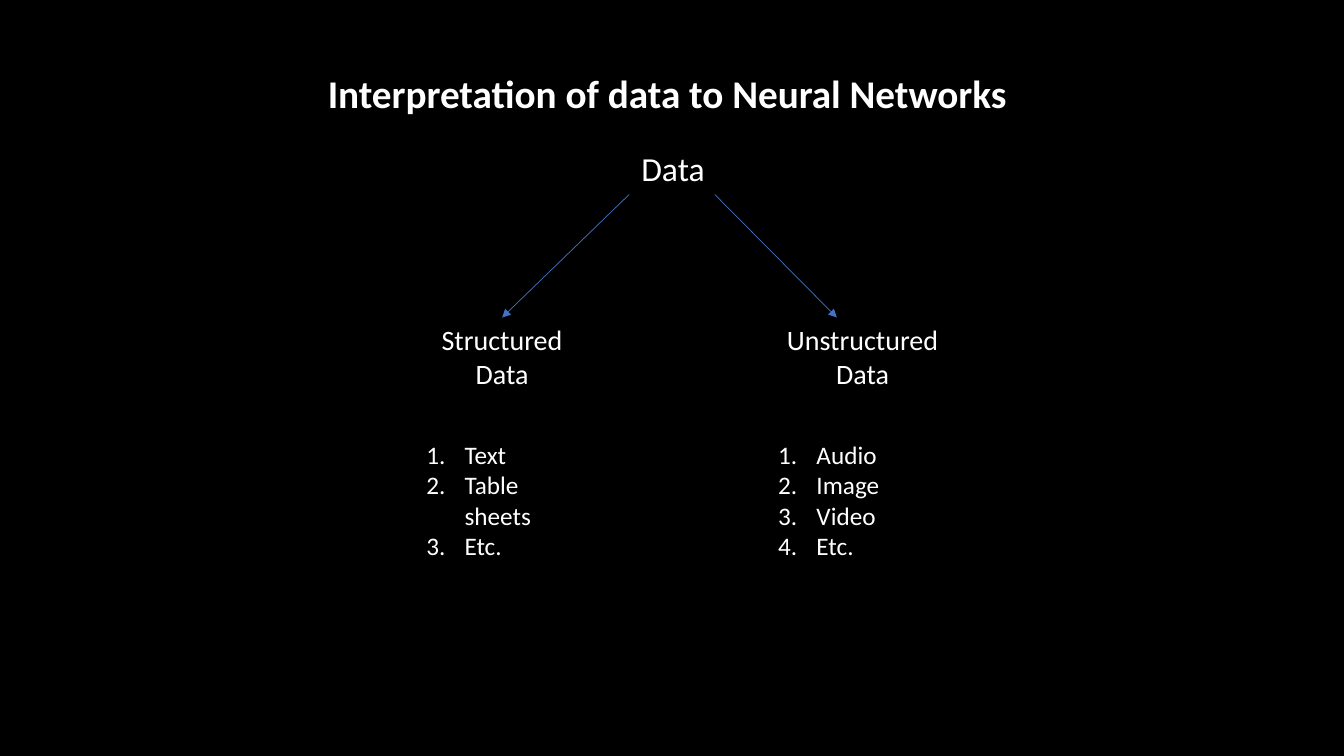
from dataclasses import dataclass

import pptx
import pptx.dml.color
import pptx.enum.shapes
import pptx.enum.text
import pptx.oxml
import pptx.oxml.ns
import pptx.util

Inches = pptx.util.Inches
Pt = pptx.util.Pt
RGB = pptx.dml.color.RGBColor.from_string
ALIGN = pptx.enum.text.PP_ALIGN


@dataclass(frozen=True)
class Theme:
    font: str = "Calibri"
    background: str = "000000"
    text: str = "FFFFFF"
    arrow: str = "4472C4"
    title_size: int = 28
    root_size: int = 24
    branch_size: int = 20
    example_size: int = 18
    arrow_width: float = 0.5


THEME = Theme()
NUMBER_INDENT = 0.38
BRANCH_TOP = 3.15
EXAMPLES_DROP = 1.16  # from the top of a branch label to its list
ROOT_BOX = (5.89, 1.42, 1.57, 0.5)
ARROW_TOP = 1.93

BRANCHES = [
    {"label": "Structured Data", "left": 4.13, "width": 1.7, "list_width": 1.7,
     "examples": ["Text", "Table sheets", "Etc."],
     "arrow_start": 6.24, "arrow_end": 4.98},
    {"label": "Unstructured Data", "left": 7.62, "width": 1.87, "list_width": 1.47,
     "examples": ["Audio", "Image", "Video", "Etc."],
     "arrow_start": 7.09, "arrow_end": 8.3},
]


def number_paragraph(paragraph):
    """Give the paragraph an automatic number with a hanging indent."""
    properties = paragraph._p.get_or_add_pPr()
    indent = Inches(NUMBER_INDENT)
    for name, value in {"marL": indent, "indent": -indent}.items():
        properties.set(name, str(int(value)))
    number = pptx.oxml.parse_xml(
        f'<a:buAutoNum {pptx.oxml.ns.nsdecls("a")} type="arabicPeriod"/>')
    properties.append(number)


def add_text(slide, box, lines, size, bold=False, numbered=False):
    label = slide.shapes.add_textbox(*map(Inches, box))
    frame = label.text_frame
    frame.word_wrap = True
    frame.auto_size = pptx.enum.text.MSO_AUTO_SIZE.SHAPE_TO_FIT_TEXT
    frame.text = "\n".join(lines)
    font_format = {"name": THEME.font, "size": Pt(size), "bold": bold}
    for paragraph in frame.paragraphs:
        if numbered:
            number_paragraph(paragraph)
        else:
            paragraph.alignment = ALIGN.CENTER
        font = paragraph.runs[0].font
        for attribute, value in font_format.items():
            setattr(font, attribute, value)
        font.color.rgb = RGB(THEME.text)
    return label


def add_arrow(slide, start, end):
    arrow = slide.shapes.add_connector(
        pptx.enum.shapes.MSO_CONNECTOR.STRAIGHT, *map(Inches, (*start, *end)))
    arrow.line.color.rgb = RGB(THEME.arrow)
    arrow.line.width = Pt(THEME.arrow_width)
    namespace = pptx.oxml.ns.nsdecls("a")
    arrow.line._get_or_add_ln().append(
        pptx.oxml.parse_xml(f'<a:tailEnd {namespace} type="triangle"/>'))
    arrow._element.spPr.append(pptx.oxml.parse_xml(f"<a:effectLst {namespace}/>"))
    return arrow


def add_branch(slide, left, top, branch):
    """Place a kind of data, its examples and the arrow leading to it."""
    label = add_text(slide, (left, top, branch["width"], 0.77),
                     [branch["label"]], THEME.branch_size)
    add_text(slide, (left, top + EXAMPLES_DROP, branch["list_width"], 1.31),
             branch["examples"], THEME.example_size, numbered=True)
    arrow = add_arrow(slide, (branch["arrow_start"], ARROW_TOP),
                      (branch["arrow_end"], top))
    middle = left + branch["width"] / 2
    if abs(branch["arrow_end"] - middle) < 0.01:
        arrow.end_connect(label, 0)


def build_data_slide(presentation):
    slide = presentation.slides.add_slide(presentation.slide_layouts[6])
    fill = slide.background.fill
    fill.solid()
    fill.fore_color.rgb = RGB(THEME.background)
    add_text(slide, (2.54, 0.64, 8.24, 0.57),
             ["Interpretation of data to Neural Networks "],
             THEME.title_size, bold=True)
    add_text(slide, ROOT_BOX, ["Data"], THEME.root_size)
    for branch in BRANCHES:
        add_branch(slide, branch["left"], BRANCH_TOP, branch)


def main():
    presentation = pptx.Presentation()
    presentation.slide_width = Inches(13.33)
    presentation.slide_height = Inches(7.5)
    build_data_slide(presentation)
    presentation.save("out.pptx")


if __name__ == "__main__":
    main()
